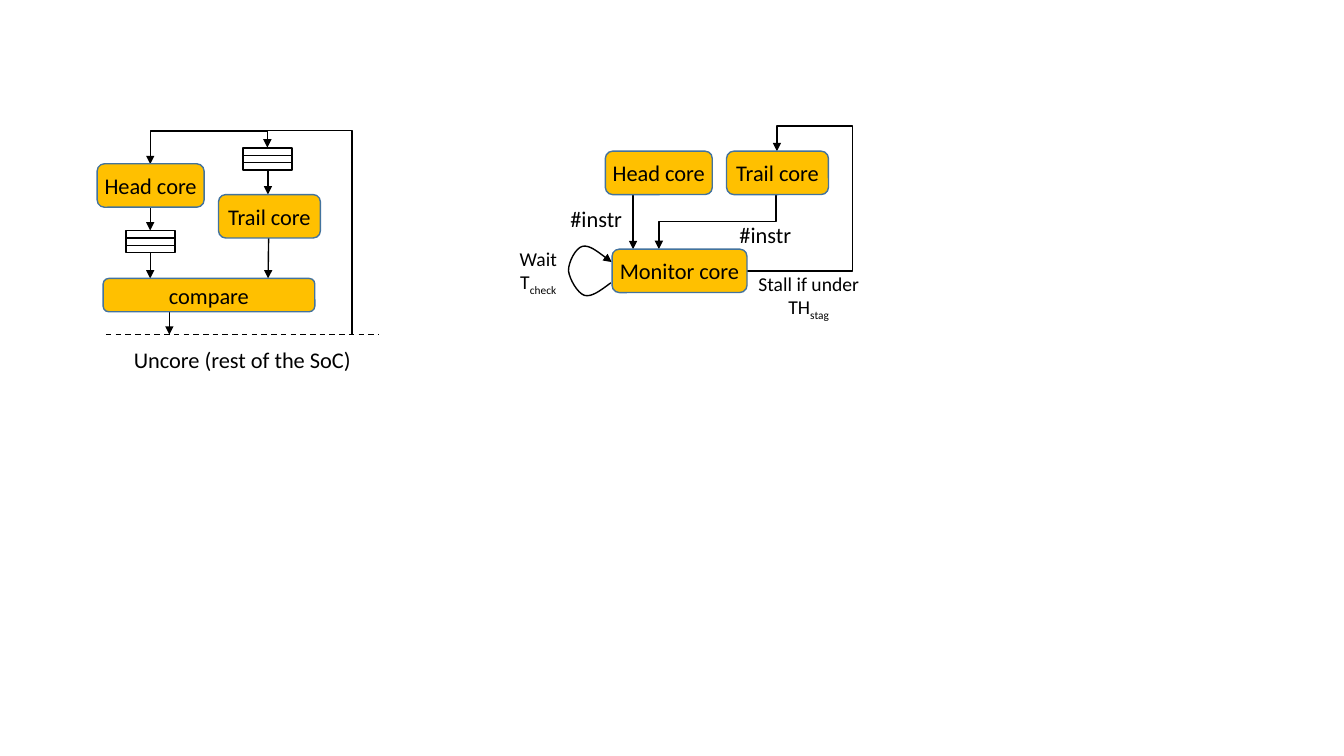
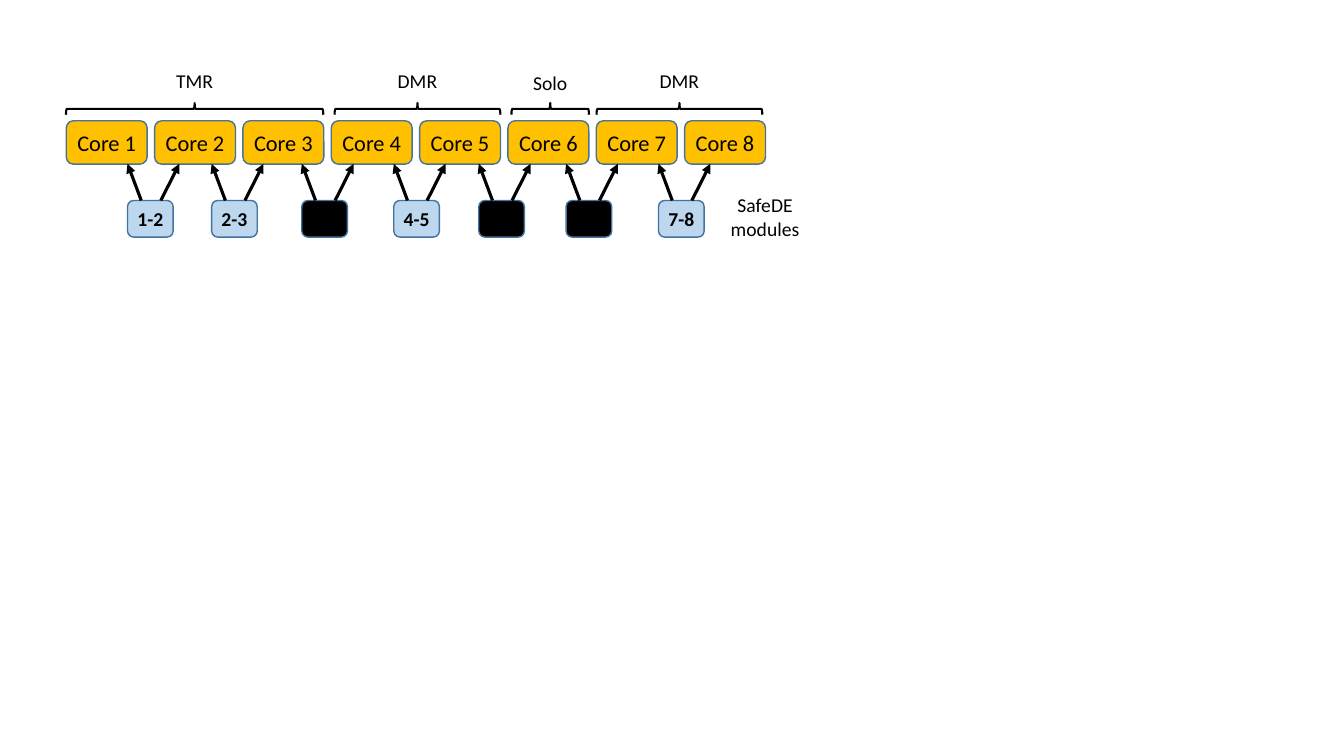
"""Build two slides of diagrams on redundant processor cores."""
from lxml import etree
from pptx import Presentation
from pptx.dml.color import RGBColor
from pptx.enum import dml, shapes, text
from pptx.oxml.ns import qn
from pptx.util import Pt

BLACK = RGBColor(0x00, 0x00, 0x00)
AMBER = RGBColor(0xFF, 0xC0, 0x00)
PALE_BLUE = RGBColor(0xBD, 0xD7, 0xEE)
EDGE = RGBColor(0x43, 0x73, 0x9E)
FONT = "Calibri"
SHAPE = shapes.MSO_SHAPE
CONNECTOR = shapes.MSO_CONNECTOR

FLOW_BOXES = [
    ("Head core", 69.4, 117, 76.4, 31),
    ("Trail core", 156.1, 139, 72.8, 31),
    ("compare", 73.7, 198.9, 151.2, 23.8),
    ("Head core", 432.4, 108, 76.4, 31),
    ("Trail core", 519, 108, 72.8, 31),
    ("Monitor core", 437.2, 178, 96.4, 31),
]
FLOW_LABELS = [
    ("Uncore (rest of the SoC)", "", 16, 75.6, 243.4, 195, 26.6),
    ("#instr", "", 16, 398.2, 143, 55.4, 26.6),
    ("#instr", "", 16, 519, 154.3, 55.4, 26.6),
    ("Stall if under TH", "stag", 14, 533.4, 190.5, 88.6, 41.2),
    ("Wait T", "check", 14, 351, 172.7, 67, 41.2),
]
FLOW_ARROWS = [
    (107.3, 148, 107.3, 164.7),
    (107.3, 181, 107.3, 198.9),
    (121, 221.4, 121, 239),
    (191.4, 122, 191.4, 139),
    (191.9, 170, 191.5, 198.9),
    (452.2, 138.6, 452.2, 178),
]
ELBOWS = [
    ("bentConnector3", (154.5, 141.9, 133.4, 60.5), 270, True, [109100]),
    ("bentConnector2", (107.3, 93.6, 83.9, 23.6), 180, True, []),
    ("bentConnector3", (492.8, 116.5, 39.2, 83.6), 90, False, [50000]),
    ("bentConnector4", (533.4, 108, 21.6, 85.7), 0, True, [349300, 121100]),
]
QUEUES = [(90, 164.7), (173.7, 105.6)]
QUEUE_W, QUEUE_SLOT, QUEUE_SLOTS = 35, 5.3, 3
UNCORE_EDGE = (75.6, 239, 270.7, 239)
WAIT_LOOP = [
    (436.4, 202), (429.1, 207.4), (422.6, 212.4), (417.6, 211),
    (412.6, 209.5), (406.8, 199.4), (406.1, 193.3),
    (406.1, 187.2), (411.1, 177.1), (416.2, 175.9),
    (421.2, 175), (429.1, 181.4), (437, 187.2),
]

CORES, CORE_LEFT, CORE_PITCH, CORE_W, CORE_TOP, CORE_H = 8, 47.3, 63.1, 57.8, 86.3, 31
MODULE_TOP, MODULE_W, MODULE_H, ARROW_TIP = 143.2, 32.6, 26.2, 117
MODULES = [("1-2", 91.1), ("2-3", 151.2), ("", 215.6), ("4-5", 281.3),
           ("", 342), ("", 404.4), ("7-8", 470.4)]
MODULE_ARROWS = [(9.8, 0), (23.8, 37)]
MODES = [("TMR", 139, 183.8, 46), ("DMR", 298.2, 118.4, 46),
         ("Solo", 393, 55.4, 46.8), ("DMR", 485.3, 118.4, 45.8)]
MODE_W, BRACE_MID, BRACE_DEPTH = 75, 77.8, 8.4
MODULES_LABEL = ("SafeDE modules", "", 14, 509, 134.6, 75, 41.2)


def write(sp, label, size, sub="", bold=False):
    tf = sp.text_frame
    tf.word_wrap = True
    p = tf.paragraphs[0]
    p.alignment = text.PP_ALIGN.CENTER
    p.font.name, p.font.size, p.font.bold = FONT, Pt(size), bold
    p.font.color.rgb = BLACK
    p.add_run().text = label
    if sub:
        r = p.add_run()
        r.text = sub
        r.font._element.set("baseline", "-25000")


def add_label(s, label, sub, size, *box):
    write(s.shapes.add_textbox(*map(Pt, box)), label, size, sub)


def add_outline(s, kind, box, fill=None, line=BLACK, width=1):
    sp = s.shapes.add_shape(kind, *map(Pt, box))
    sp.shadow.inherit = False
    if fill is None:
        sp.fill.background()
    else:
        sp.fill.solid()
        sp.fill.fore_color.rgb = fill
    sp.line.color.rgb, sp.line.width = line, Pt(width)
    return sp


def add_box(s, label, box, fill=AMBER, size=16, bold=False):
    sp = add_outline(s, SHAPE.ROUNDED_RECTANGLE, box, fill, EDGE)
    if label:
        tf = sp.text_frame
        tf.margin_left = tf.margin_right = Pt(2.8)
        tf.vertical_anchor = text.MSO_ANCHOR.MIDDLE
        write(sp, label, size, bold=bold)


def add_arrowhead(sp):
    ln = sp._element.spPr.find(qn("a:ln"))
    etree.SubElement(ln, qn("a:tailEnd"), type="triangle")


def add_line(s, ends, width=1, kind=CONNECTOR.STRAIGHT, dash=None):
    c = s.shapes.add_connector(kind, *map(Pt, ends))
    c.line.color.rgb, c.line.width = BLACK, Pt(width)
    if dash:
        c.line.dash_style = dash
    else:
        add_arrowhead(c)
    etree.SubElement(c._element.spPr, qn("a:effectLst"))
    return c


def add_elbow(s, preset, frame, turn, flip, adjustments):
    x, y, w, h = frame
    c = add_line(s, (x, y, x + w, y + h), kind=CONNECTOR.ELBOW)
    spPr = c._element.spPr
    xfrm, geom = spPr.find(qn("a:xfrm")), spPr.find(qn("a:prstGeom"))
    xfrm.set("rot", str(turn * 60000))
    if flip:
        xfrm.set("flipV", "1")
    geom.set("prst", preset)
    guides = geom.find(qn("a:avLst"))
    for i, value in enumerate(adjustments, 1):
        etree.SubElement(guides, qn("a:gd"), name=f"adj{i}", fmla=f"val {value}")


def add_curve(s, points):
    start, *rest = [(Pt(x), Pt(y)) for x, y in points]
    builder = s.shapes.build_freeform(*start)
    builder.add_line_segments(rest, close=False)
    sp = builder.convert_to_shape()
    sp.shadow.inherit = False
    sp.fill.background()
    sp.line.color.rgb, sp.line.width = BLACK, Pt(1)
    add_arrowhead(sp)
    outline = next(sp._element.iter(qn("a:path")))
    segments = outline.findall(qn("a:lnTo"))
    for i in range(0, len(segments), 3):
        curve = etree.SubElement(outline, qn("a:cubicBezTo"))
        for segment in segments[i:i + 3]:
            curve.append(segment[0])
            outline.remove(segment)


def build_flow(s):
    for x, y in QUEUES:
        for i in range(QUEUE_SLOTS):
            add_outline(s, SHAPE.RECTANGLE, (x, y + i * QUEUE_SLOT, QUEUE_W, QUEUE_SLOT))
    for ends in FLOW_ARROWS:
        add_line(s, ends)
    add_line(s, UNCORE_EDGE, dash=dml.MSO_LINE.DASH)
    for elbow in ELBOWS:
        add_elbow(s, *elbow)
    add_curve(s, WAIT_LOOP)
    for label in FLOW_LABELS:
        add_label(s, *label)
    for label, *box in FLOW_BOXES:
        add_box(s, label, box)


def build_modes(s):
    for i in range(CORES):
        add_box(s, f"Core {i + 1}", (CORE_LEFT + i * CORE_PITCH, CORE_TOP, CORE_W, CORE_H))
    for label, x in MODULES:
        add_box(s, label, (x, MODULE_TOP, MODULE_W, MODULE_H),
                PALE_BLUE if label else BLACK, 14, True)
        for tail, tip in MODULE_ARROWS:
            add_line(s, (x + tail, MODULE_TOP, x + tip, ARROW_TIP), 2.25)
    for label, mid, span, top in MODES:
        brace = add_outline(s, SHAPE.LEFT_BRACE, (mid - BRACE_DEPTH / 2, BRACE_MID - span / 2,
                                                  BRACE_DEPTH, span), width=1.5)
        brace.rotation = 90
        add_label(s, label, "", 14, mid - MODE_W / 2, top, MODE_W, 24.2)
    add_label(s, *MODULES_LABEL)


def main():
    prs = Presentation()
    prs.slide_width, prs.slide_height = Pt(960), Pt(540)
    for build in (build_flow, build_modes):
        build(prs.slides.add_slide(prs.slide_layouts[6]))
    prs.save("out.pptx")


if __name__ == "__main__":
    main()
